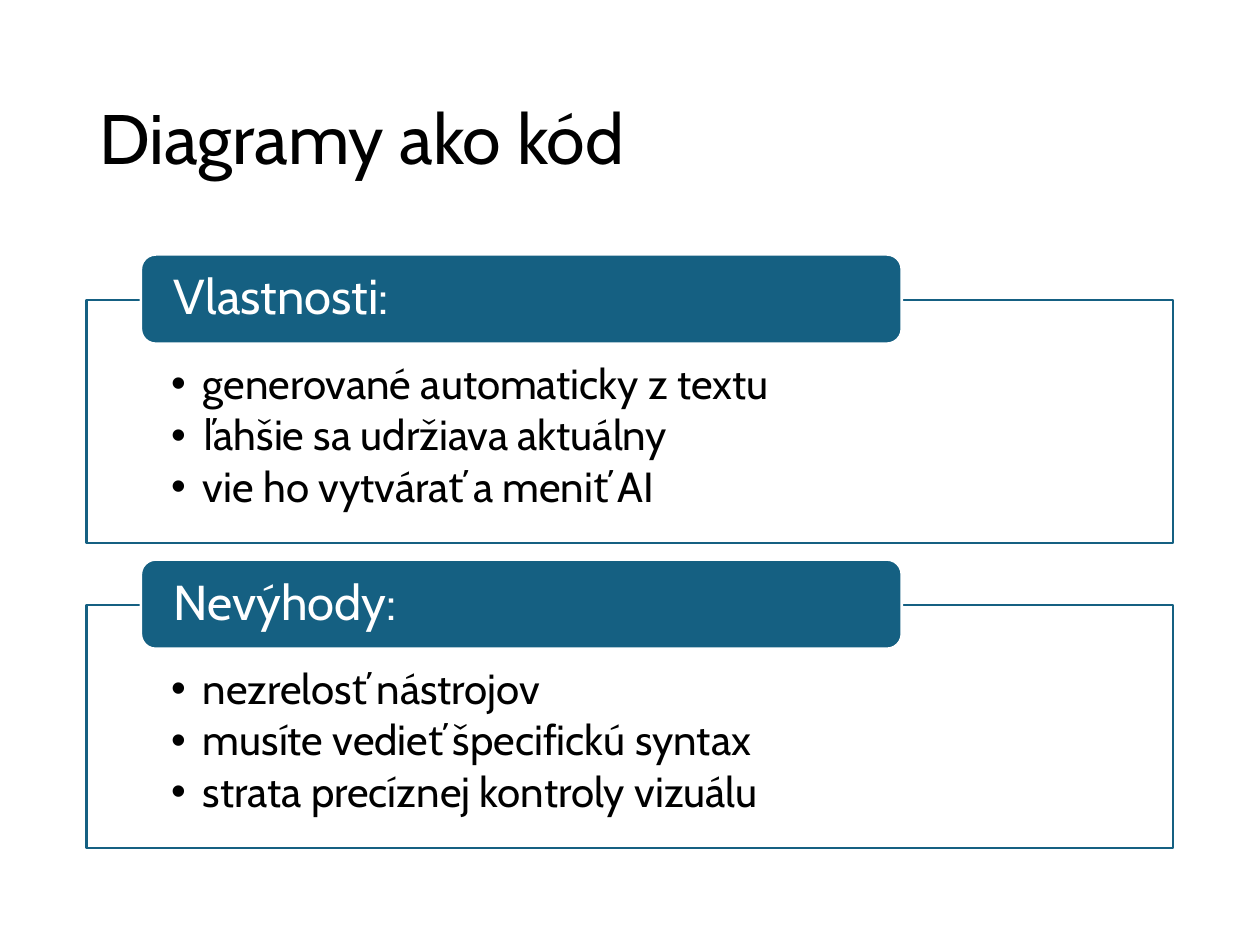
from lxml.etree import SubElement as Sub
from pptx import Presentation
from pptx.dml.color import RGBColor
from pptx.enum.shapes import MSO_SHAPE as Kind
from pptx.enum.text import MSO_ANCHOR as Anchor, PP_ALIGN as Align
from pptx.oxml.ns import qn
from pptx.util import Cm, Pt

BLUE, WHITE, BLACK = "156082", "FFFFFF", "000000"


def paint(shape, fill, line):
    shape.shadow.inherit = False
    shape.fill.solid()
    shape.fill.fore_color.rgb = RGBColor.from_string(fill)
    shape.line.color.rgb = RGBColor.from_string(line)
    shape.line.width = Pt(1.5)


def write(shape, *lines, size, color=BLACK, pad=(0, 0, 0, 0), anchor=Anchor.MIDDLE, after=0, bullet=False):
    frame = shape.text_frame
    frame.word_wrap = True
    frame.vertical_anchor = anchor
    frame.margin_left, frame.margin_top, frame.margin_right, frame.margin_bottom = map(Cm, pad)
    frame.text = "\n".join(lines)
    for para in frame.paragraphs:
        if bullet:
            para.level = 1
            props = para._p.get_or_add_pPr()
            props.set("marL", str(Cm(0.64)))
            props.set("indent", str(-Cm(0.64)))
            Sub(props, qn("a:buFont"), typeface="Arial")
            Sub(props, qn("a:buChar"), char="•")
        para.alignment = Align.LEFT
        para.line_spacing = 0.9
        para.space_after = Pt(after)
        para.font.name = "Cabin"
        para.font.size = Pt(size)
        para.font.color.rgb = RGBColor.from_string(color)


deck = Presentation()
deck.slide_width, deck.slide_height = Cm(25.4), Cm(19.05)
slide = deck.slides.add_slide(deck.slide_layouts[6])
shapes = slide.shapes

left, width = Cm(1.75), Cm(21.9)
title = shapes.add_textbox(left, Cm(1.02), width, Cm(3.68))
write(title, "Diagramy ako kód", size=40, pad=(0.25, 0.13, 0.25, 0.13))

groups = [
    ("Vlastnosti:", ["generované automaticky z textu", "ľahšie sa udržiava aktuálny", "vie ho vytvárať a meniť AI"]),
    ("Nevýhody:", ["nezrelosť nástrojov", "musíte vedieť špecifickú syntax", "strata precíznej kontroly vizuálu"]),
]

for row, (head, items) in enumerate(groups):
    top = Cm(6.05 + 6.15 * row)
    box = shapes.add_shape(Kind.RECTANGLE, left, top, width, Cm(4.9))
    paint(box, WHITE, BLUE)
    write(box, *items, size=24, pad=(1.7, 1.27, 1.7, 0.48), anchor=Anchor.TOP, after=3.5, bullet=True)
    tab = shapes.add_shape(Kind.ROUNDED_RECTANGLE, Cm(2.84), top - Cm(0.92), Cm(15.34), Cm(1.8))
    paint(tab, BLUE, WHITE)
    write(tab, head, size=28, color=WHITE, pad=(0.58, 0, 0.58, 0))

deck.save("out.pptx")
